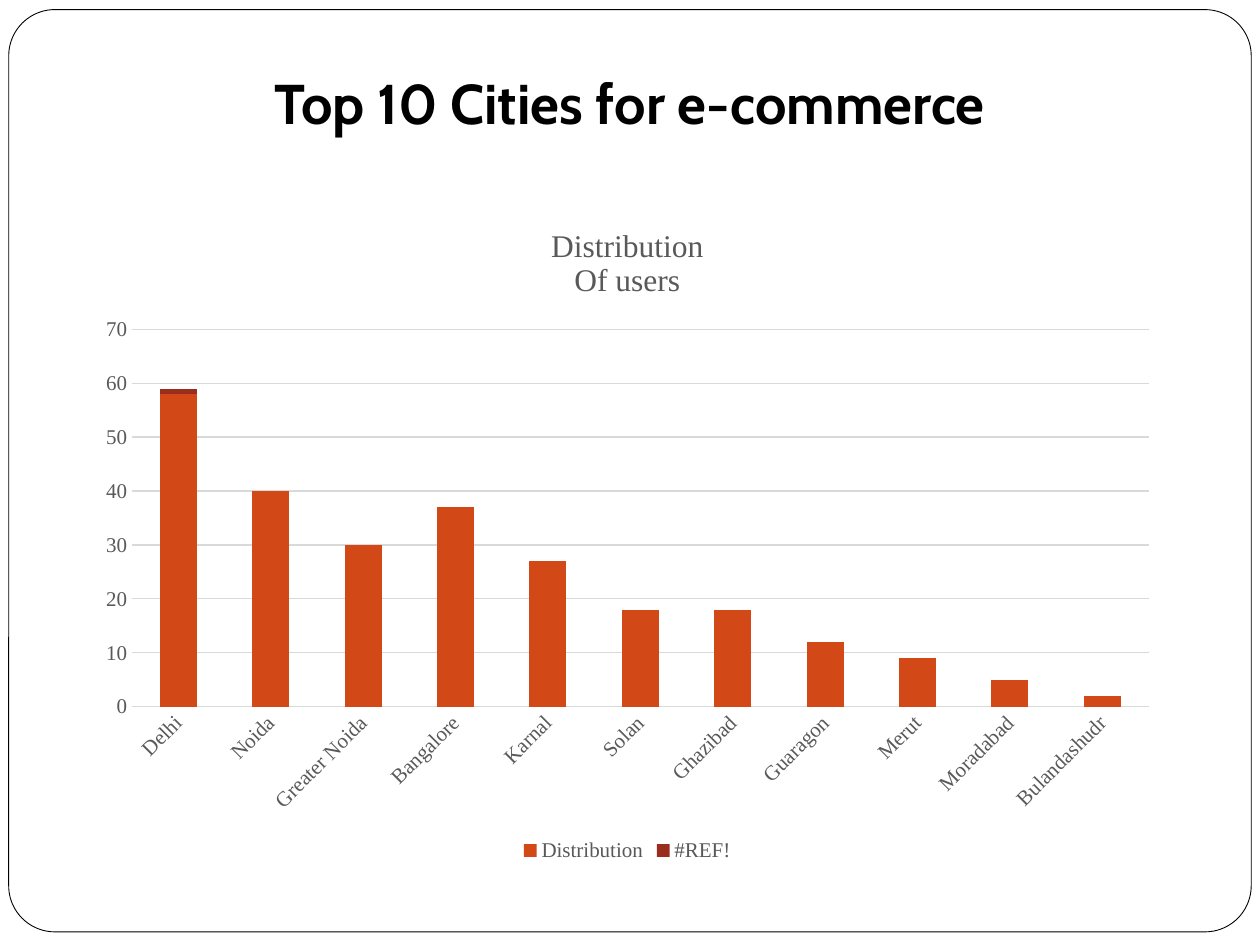
import pptx
import pptx.chart.data
import pptx.dml.color
import pptx.enum.chart
import pptx.enum.shapes
import pptx.enum.text
import pptx.util

Pt = pptx.util.Pt
RGB = pptx.dml.color.RGBColor
BLACK = RGB(0x00, 0x00, 0x00)
WHITE = RGB(0xFF, 0xFF, 0xFF)
GRAY = RGB(0x59, 0x59, 0x59)
GRID = RGB(0xD9, 0xD9, 0xD9)
ORANGE = RGB(0xD3, 0x48, 0x17)
RED = RGB(0x9B, 0x2D, 0x1F)

CITIES = {
    "Delhi": 58, "Noida": 40, "Greater Noida": 30, "Bangalore": 37,
    "Karnal": 27, "Solan": 18, "Ghazibad": 18, "Guaragon": 12,
    "Merut": 9, "Moradabad": 5, "Bulandashudr": 2,
}


def apply(obj, **values):
    for name, value in values.items():
        setattr(obj, name, value)


class SlideBuilder:
    heading_font = "Cabin"
    chart_font = "Times New Roman"

    def __init__(self, prs):
        self.slide = prs.slides.add_slide(prs.slide_layouts[6])

    def style_font(self, font, color, **values):
        apply(font, **values)
        font.color.rgb = color

    def frame(self, box, radius):
        kind = pptx.enum.shapes.MSO_SHAPE.ROUNDED_RECTANGLE
        sp = self.slide.shapes.add_shape(kind, *map(Pt, box))
        sp.adjustments[0] = radius
        sp.shadow.inherit = False
        sp.fill.solid()
        sp.fill.fore_color.rgb = WHITE
        sp.line.color.rgb = BLACK
        sp.line.width = Pt(0.5)

    def title(self, box, text):
        tf = self.slide.shapes.add_textbox(*map(Pt, box)).text_frame
        apply(tf, word_wrap=True,
              vertical_anchor=pptx.enum.text.MSO_ANCHOR.MIDDLE,
              margin_left=Pt(7.2), margin_right=Pt(7.2),
              margin_top=Pt(3.6), margin_bottom=Pt(7.2))
        p = tf.paragraphs[0]
        p.alignment = pptx.enum.text.PP_ALIGN.CENTER
        r = p.add_run()
        r.text = text
        self.style_font(r.font, BLACK, name=self.heading_font, size=Pt(32), bold=True)

    def stacked_chart(self, box, title, categories, series):
        data = pptx.chart.data.CategoryChartData()
        data.categories = categories
        for name, values, _ in series:
            data.add_series(name, values)
        kind = pptx.enum.chart.XL_CHART_TYPE.COLUMN_STACKED
        chart = self.slide.shapes.add_chart(kind, *map(Pt, box), data).chart
        self.style_font(chart.font, BLACK, name=self.chart_font, size=Pt(10))
        label = dict(name=self.chart_font, size=Pt(12))

        chart.has_title = True
        tf = chart.chart_title.text_frame
        tf.text = title
        for p in tf.paragraphs:
            self.style_font(p.runs[0].font, GRAY, name=self.chart_font,
                            size=Pt(18), bold=False)

        chart.has_legend = True
        apply(chart.legend, include_in_layout=False,
              position=pptx.enum.chart.XL_LEGEND_POSITION.BOTTOM)
        self.style_font(chart.legend.font, GRAY, **label)

        no_tick = pptx.enum.chart.XL_TICK_MARK.NONE
        for axis in (chart.category_axis, chart.value_axis):
            apply(axis, major_tick_mark=no_tick, minor_tick_mark=no_tick)
            axis.format.line.fill.background()
            self.style_font(axis.tick_labels.font, GRAY, **label)
        chart.category_axis._element.txPr.bodyPr.set("rot", "-2700000")
        apply(chart.value_axis, minimum_scale=0, maximum_scale=70,
              major_unit=10, has_major_gridlines=True)
        line = chart.value_axis.major_gridlines.format.line
        line.color.rgb = GRID
        line.width = Pt(0.75)

        plot = chart.plots[0]
        apply(plot, gap_width=150, overlap=100, vary_by_categories=False)
        for bars, (_, _, color) in zip(plot.series, series):
            bars.format.fill.solid()
            bars.format.fill.fore_color.rgb = color


def main():
    prs = pptx.Presentation()
    apply(prs, slide_width=Pt(720), slide_height=Pt(540))
    s = SlideBuilder(prs)
    s.frame((5, 5.5, 710, 527), 0.05)
    s.stacked_chart(
        (48.2, 116.6, 620.6, 378.7), "Distribution\nOf users", list(CITIES),
        [("Distribution", list(CITIES.values()), ORANGE),
         ("#REF!", [1] + [None] * (len(CITIES) - 1), RED)])
    s.title((49.7, 15.1, 620.6, 90), "Top 10 Cities for e-commerce")
    prs.save("out.pptx")


if __name__ == "__main__":
    main()
